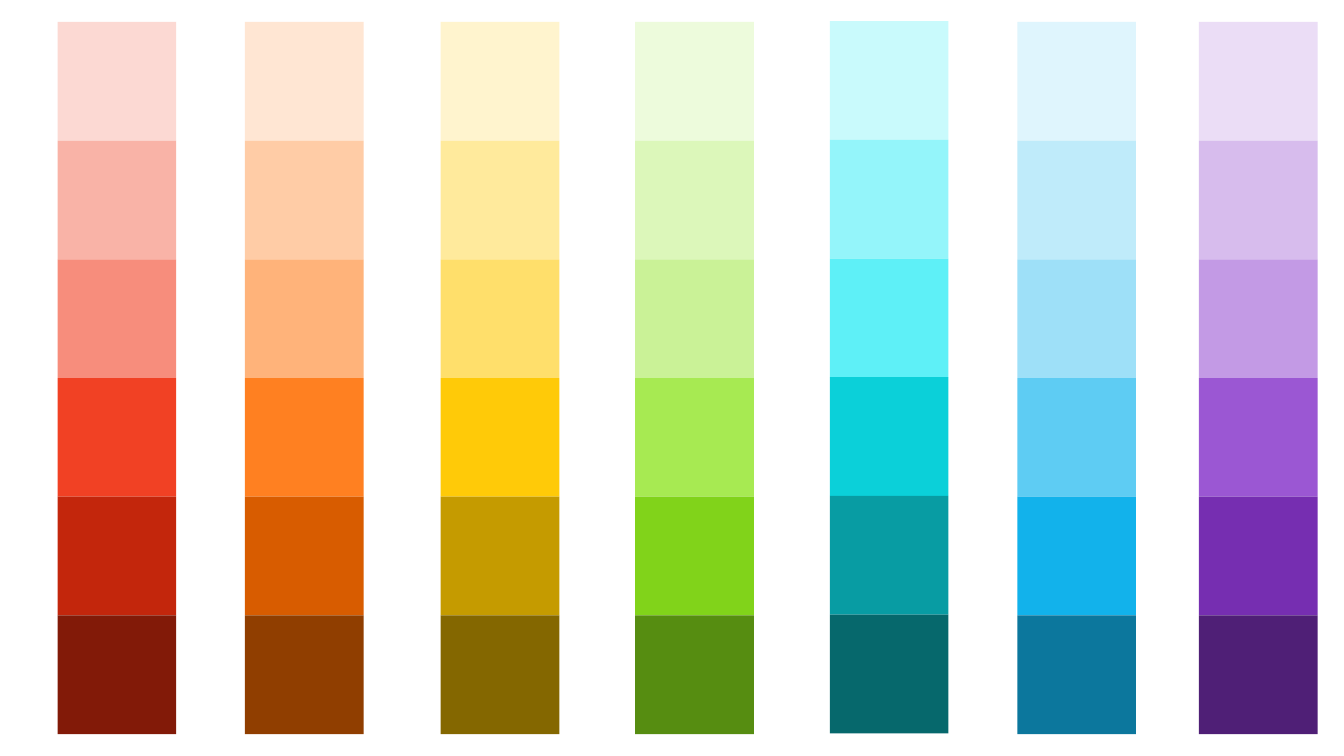
from pptx import Presentation
from pptx.dml.color import RGBColor
from pptx.enum.shapes import MSO_SHAPE
from pptx.util import Inches

# Tints from lightest to darkest
RAMPS = {
    "purple": ["EBDDF6", "D7BCED", "C39AE5", "9B57D3", "762EB1", "4F1F76"],
    "blue": ["DFF5FD", "BFEBFA", "9EE0F8", "5ECCF3", "12B2EB", "0C779D"],
    "cyan": ["C9FAFC", "94F5FA", "5EF0F7", "0BD0D9", "089CA3", "06686C"],
    "green": ["EDFBDC", "DCF7BA", "CAF297", "A7EA52", "81D31A", "568D11"],
    "yellow": ["FFF4CE", "FFEA9C", "FFDF6B", "FFCA08", "C59B00", "846700"],
    "orange": ["FFE6D3", "FFCCA6", "FFB37A", "FF8021", "D85C00", "903E00"],
    "red": ["FCD9D3", "F9B3A7", "F78D7C", "F14124", "C3260C", "821A08"],
}

# Left edges in percent of the slide width
LEFT = {
    "purple": 89.2,
    "blue": 75.69,
    "cyan": 61.74,
    "green": 47.26,
    "yellow": 32.78,
    "orange": 18.23,
    "red": 4.28,
}

# Percent of the slide height
TOP = 2.9
CYAN_TOP = 2.8
SWATCH_SIDE = 15.7


class PaletteSlide:
    def __init__(self, deck, ramps):
        self.ramps = ramps
        self.width, self.height = deck.slide_width, deck.slide_height
        self.side = self.down(SWATCH_SIDE)
        self.slide = deck.slides.add_slide(deck.slide_layouts[6])

    def across(self, percent):
        return round(self.width * percent / 100)

    def down(self, percent):
        return round(self.height * percent / 100)

    def swatch(self, ramp, left, top, tint):
        square = ramp.shapes.add_shape(
            MSO_SHAPE.RECTANGLE, left, top, self.side, self.side)
        square.shadow.inherit = False
        square.fill.solid()
        square.fill.fore_color.rgb = RGBColor.from_string(tint)
        square.line.fill.background()

    def ramp(self, hue, left, top):
        """Stack the tints of one hue as a group of touching squares."""
        ramp = self.slide.shapes.add_group_shape()
        for row, tint in enumerate(self.ramps[hue]):
            self.swatch(ramp, self.across(left),
                        self.down(top) + row * self.side, tint)


def main():
    deck = Presentation()
    deck.slide_width, deck.slide_height = Inches(13.33), Inches(7.5)
    palette = PaletteSlide(deck, RAMPS)
    for hue, left in LEFT.items():
        palette.ramp(hue, left, CYAN_TOP if hue == "cyan" else TOP)
    deck.save("out.pptx")


if __name__ == "__main__":
    main()
